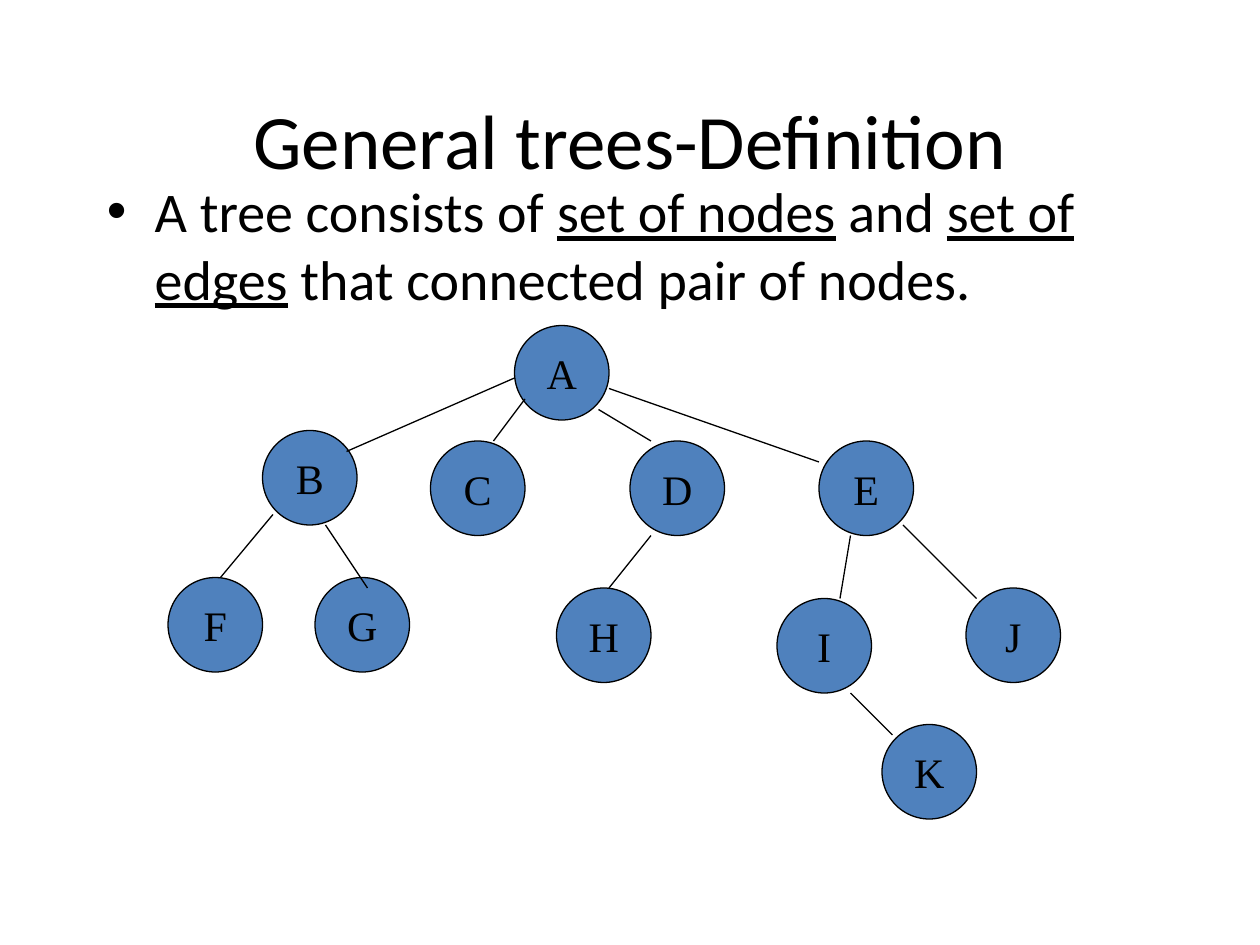
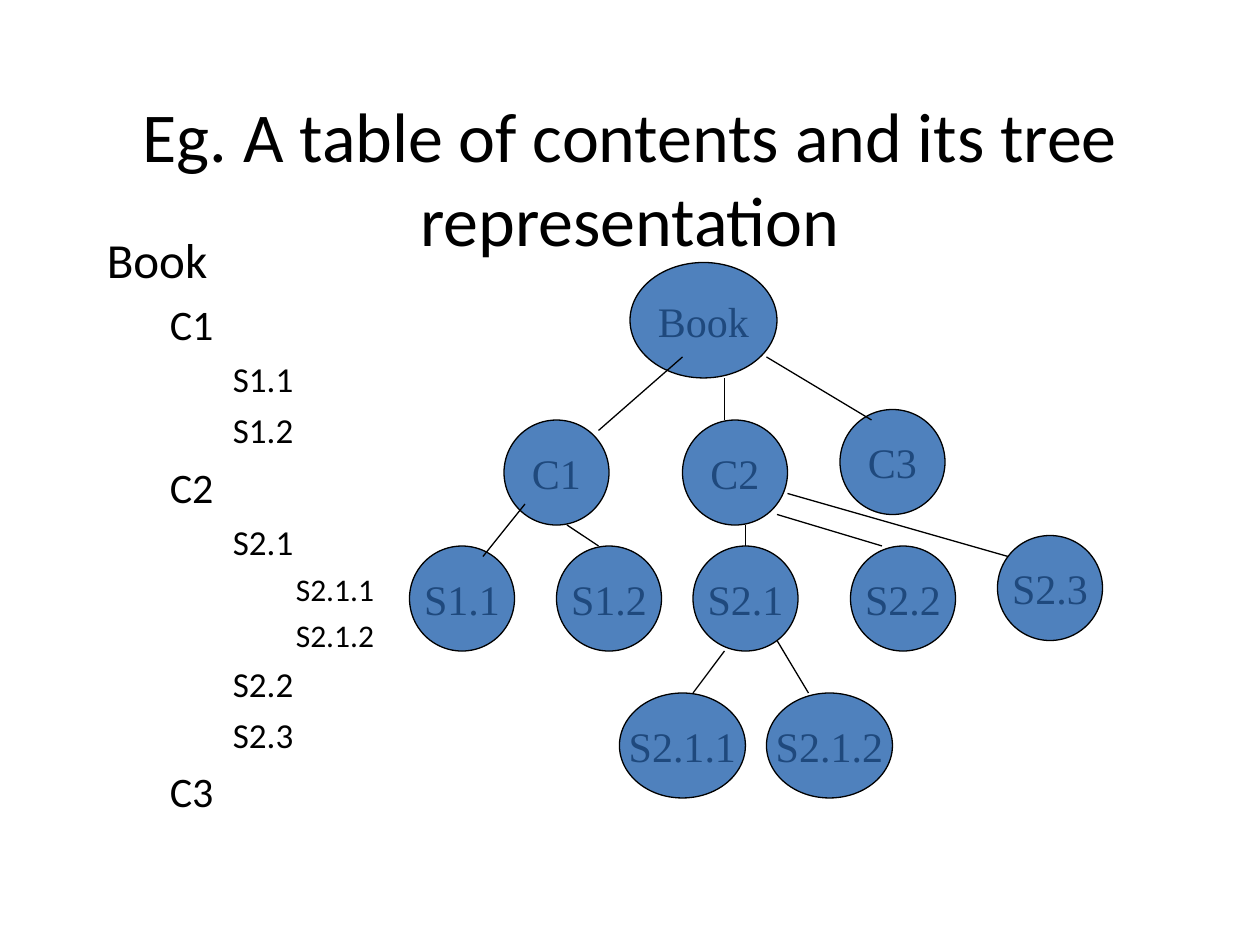
from lxml.etree import SubElement as Sub
from pptx import Presentation as Deck
from pptx.dml.color import RGBColor as Color
from pptx.enum.shapes import MSO_CONNECTOR as Link, MSO_SHAPE as Form
from pptx.enum.text import MSO_ANCHOR as Anchor, PP_ALIGN as Align
from pptx.oxml.ns import qn
from pptx.util import Inches, Pt

BLACK = Color(0x00, 0x00, 0x00)
BLUE = Color(0x4F, 0x81, 0xBD)
NAVY = Color(0x1F, 0x49, 0x7D)
SANS = "Calibri"
SERIF = "Times New Roman"
COLS, ROWS = 120, 90
SIZES = [28, 24, 20, 18]


class Sheet:
    def __init__(self):
        self.deck = Deck()
        self.deck.slide_width = Inches(10)
        self.deck.slide_height = Inches(7.5)
        self.slide = None

    def grid(self, *cells):
        units = (self.deck.slide_width / COLS, self.deck.slide_height / ROWS)
        return [round(cell * units[i % 2]) for i, cell in enumerate(cells)]

    def add(self, title, size):
        self.slide = self.deck.slides.add_slide(self.deck.slide_layouts[6])
        para = self.text(8, 15).paragraphs[0]
        para.text = title
        para.alignment = Align.CENTER
        self.font(para, size)

    def font(self, para, size, name=SANS, color=BLACK):
        para.font.size = Pt(size)
        para.font.name = name
        para.font.color.rgb = color

    def text(self, top, tall):
        box = self.slide.shapes.add_textbox(*self.grid(9, top, 102, tall))
        frame = box.text_frame
        frame.word_wrap = True
        frame.margin_top = Inches(0.07)
        return frame

    def bullet(self, top, tall, size, runs):
        para = self.text(top, tall).paragraphs[0]
        props = para._p.get_or_add_pPr()
        props.set("marL", str(Inches(0.38)))
        props.set("indent", str(-Inches(0.38)))
        Sub(props, qn("a:buFont"), typeface="Arial")
        Sub(props, qn("a:buChar"), char="•")
        self.font(para, size)
        for words, under in runs:
            run = para.add_run()
            run.text = words
            run.font.underline = under

    def outline(self, top, tall, items):
        frame = self.text(top, tall)
        for i, (level, words) in enumerate(items):
            para = frame.add_paragraph() if i else frame.paragraphs[0]
            para.text = words
            para.level = level
            props = para._p.get_or_add_pPr()
            props.set("marL", str(Inches(level / 2)))
            props.set("indent", "0")
            if i:
                para.space_before = Pt(SIZES[level] / 4)
            Sub(props, qn("a:buNone"))
            self.font(para, SIZES[level])

    def node(self, label, left, top, wide, tall, color):
        shape = self.slide.shapes.add_shape(
            Form.OVAL, *self.grid(left, top, wide, tall))
        shape.shadow.inherit = False
        shape.fill.solid()
        shape.fill.fore_color.rgb = BLUE
        shape.line.color.rgb = BLACK
        shape.line.width = Pt(0.75)
        frame = shape.text_frame
        frame.word_wrap = False
        frame.vertical_anchor = Anchor.MIDDLE
        para = frame.paragraphs[0]
        para.text = label
        para.alignment = Align.CENTER
        self.font(para, 24, SERIF, color)

    def edge(self, *ends):
        line = self.slide.shapes.add_connector(Link.STRAIGHT, *self.grid(*ends))
        line.line.color.rgb = BLACK
        line.line.width = Pt(0.75)
        Sub(line._element.spPr, qn("a:effectLst"))

    def tree(self, nodes, edges, size, color):
        for label, left, top, *dims in nodes:
            self.node(label, left, top, *(dims or (size, size)), color)
        for ends in edges:
            self.edge(*ends)


def define(sheet):
    sheet.add("General trees-Definition", 44)
    sheet.bullet(16, 17, 32, [
        ("A tree consists of ", False), ("set of nodes", True),
        (" and ", False), ("set of edges", True),
        (" that connected pair of nodes.", False)])
    nodes = [
        ("A", 49, 31),
        ("B", 25, 41), ("C", 41, 42), ("D", 60, 42), ("E", 78, 42),
        ("F", 16, 55), ("G", 30, 55), ("H", 53, 56), ("I", 74, 57),
        ("J", 92, 56), ("K", 84, 69)]
    edges = [
        (49, 36, 33, 43), (50, 38, 47, 42), (57, 39, 62, 42),
        (58, 37, 78, 44), (26, 49, 21, 55), (31, 50, 35, 56),
        (62, 51, 58, 56), (81, 51, 80, 57), (86, 50, 93, 57),
        (81, 66, 85, 70)]
    sheet.tree(nodes, edges, 9, BLACK)


def sample(sheet):
    sheet.add("Eg. A table of contents and its tree representation", 40)
    sheet.outline(21, 59, [
        (0, "Book"), (1, "C1"), (2, "S1.1"), (2, "S1.2"),
        (1, "C2"), (2, "S2.1"), (3, "S2.1.1"), (3, "S2.1.2"),
        (2, "S2.2"), (2, "S2.3"), (1, "C3")])
    nodes = [
        ("Book", 60, 25, 14, 11),
        ("C1", 48, 40), ("C2", 65, 40), ("C3", 80, 39),
        ("S1.1", 39, 52), ("S1.2", 53, 52), ("S2.1", 66, 52),
        ("S2.2", 81, 52), ("S2.3", 95, 51),
        ("S2.1.1", 59, 66, 12, 10), ("S2.1.2", 73, 66, 12, 10)]
    edges = [
        (65, 34, 57, 41), (69, 36, 69, 40), (73, 34, 83, 40),
        (50, 48, 46, 53), (54, 50, 57, 52), (71, 50, 71, 52),
        (74, 49, 84, 52), (75, 47, 96, 53), (69, 62, 66, 66),
        (74, 61, 77, 66)]
    sheet.tree(nodes, edges, 10, NAVY)


def main():
    sheet = Sheet()
    define(sheet)
    sample(sheet)
    sheet.deck.save("out.pptx")


if __name__ == "__main__":
    main()
